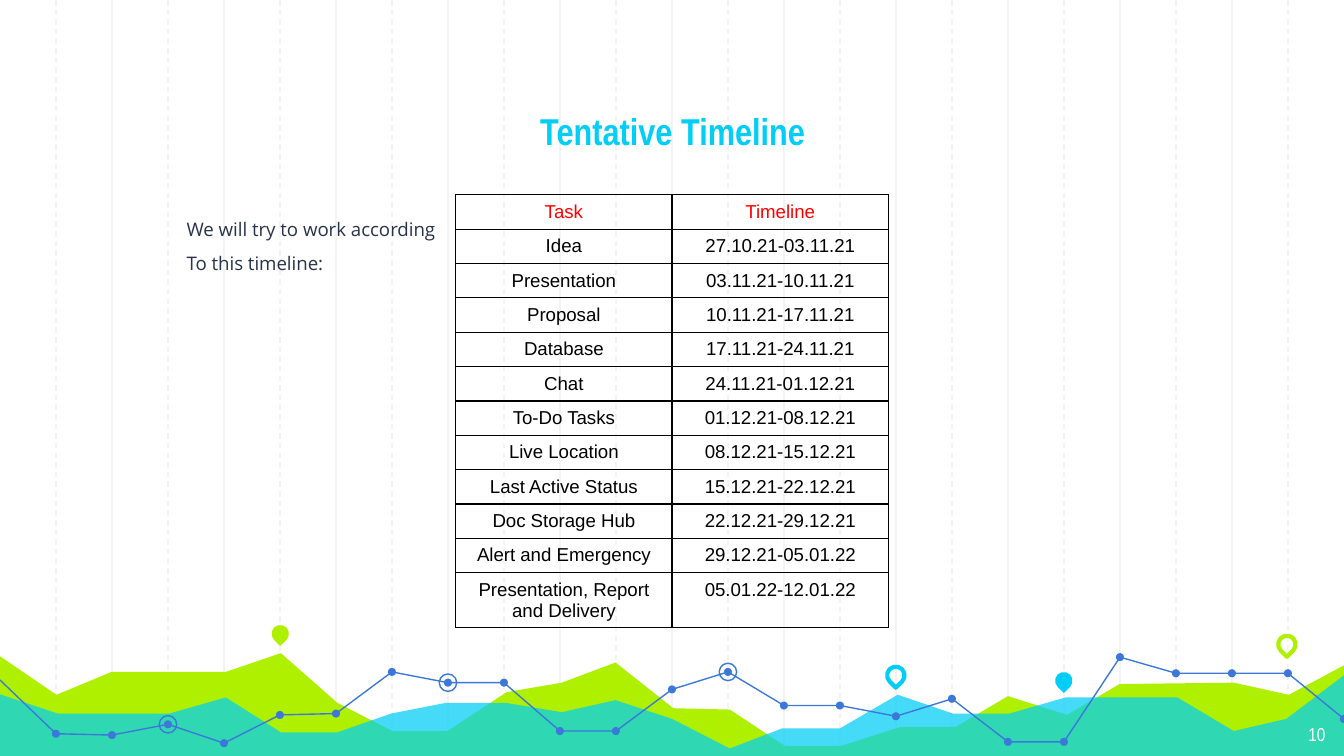
from dataclasses import dataclass

from lxml.etree import SubElement
from pptx import Presentation
from pptx.dml.color import RGBColor
from pptx.enum.dml import MSO_LINE
from pptx.enum.shapes import MSO_CONNECTOR, MSO_SHAPE
from pptx.enum.text import MSO_ANCHOR, MSO_AUTO_SIZE, PP_ALIGN
from pptx.oxml import parse_xml
from pptx.oxml.ns import nsdecls, qn
from pptx.util import Inches, Pt

LIME, CYAN, BLUE = "AFF000", "00CEF6", "3C78D8"
NAVY, GRID, BLACK, RED, WHITE = "28324A", "F3F3F3", "000000", "FF0000", "FFFFFF"
WIDTH = 10
HEIGHT = WIDTH * 9 / 16
STEP = WIDTH / 24
DOT, MARKER = 0.06, 0.13


@dataclass
class Area:
    color: str
    points: list[tuple[float, float]]
    opacity: int = 100


@dataclass
class Pin:
    left: float
    top: float
    color: str
    hollow: bool = False


AREAS = [
    Area(LIME, [
        (-0.02, 4.87), (0.42, 5.17), (0.83, 5), (1.68, 5), (2.09, 4.86), (2.51, 5.23),
        (2.92, 5.44), (3.33, 5.44), (3.77, 5.15), (4.18, 5.08), (4.58, 4.93), (5.01, 5.27),
        (5.43, 5.28), (5.84, 5.55), (6.26, 5.55), (6.7, 5.41), (7.11, 5.41), (7.5, 5.18),
        (7.94, 5.32), (8.33, 5.09), (9.18, 5.08), (9.59, 5.17), (10.02, 4.94),
        (10.01, 5.64), (-0.03, 5.64)]),
    Area(CYAN, [
        (-0.02, 5.16), (0.43, 5.31), (1.26, 5.31), (1.68, 5.19), (2.09, 5.45), (2.51, 5.45),
        (2.91, 5.31), (3.32, 5.23), (3.76, 5.23), (4.18, 5.3), (4.58, 5.21), (5, 5.35),
        (5.43, 5.57), (5.82, 5.42), (6.25, 5.42), (6.68, 5.17), (7.09, 5.31), (7.51, 5.31),
        (7.93, 5.19), (8.76, 5.19), (9.18, 5.44), (9.57, 5.35), (10.02, 5.01),
        (10.02, 5.65), (-0.03, 5.65)], opacity=73),
]
PINS = [Pin(2.02, 4.65, LIME), Pin(6.6, 4.96, CYAN, hollow=True),
        Pin(7.85, 5, CYAN), Pin(9.51, 4.73, LIME, hollow=True)]
# Heights of the line at each grid step, starting at the left edge
LINE_HEIGHTS = [5.06, 5.46, 5.47, 5.39, 5.53, 5.32, 5.31, 5, 5.08, 5.08, 5.44, 5.44, 5.13,
                5, 5.25, 5.25, 5.33, 5.2, 5.52, 5.52, 4.89, 5.01, 5.01, 5.01, 5.35]
LINE_POINTS = [(i * STEP, y) for i, y in enumerate(LINE_HEIGHTS)]
LINE_BREAKS = [0, 11, 20, 24]
RINGED = [3, 8, 13]

SCHEDULE = [
    ("Task", "Timeline"),
    ("Idea", "27.10.21-03.11.21"),
    ("Presentation", "03.11.21-10.11.21"),
    ("Proposal", "10.11.21-17.11.21"),
    ("Database", "17.11.21-24.11.21"),
    ("Chat", "24.11.21-01.12.21"),
    ("To-Do Tasks", "01.12.21-08.12.21"),
    ("Live Location", "08.12.21-15.12.21"),
    ("Last Active Status", "15.12.21-22.12.21"),
    ("Doc Storage Hub", "22.12.21-29.12.21"),
    ("Alert and Emergency", "29.12.21-05.01.22"),
    ("Presentation, Report and Delivery", "05.01.22-12.01.22"),
]


def rgb(color: str) -> RGBColor:
    return RGBColor.from_string(color)


def paint(shape, fill: str | None = None, line: str | None = None, weight: float = 0.75) -> None:
    shape.shadow.inherit = False
    if fill:
        shape.fill.solid()
        shape.fill.fore_color.rgb = rgb(fill)
    else:
        shape.fill.background()
    if line:
        shape.line.color.rgb = rgb(line)
        shape.line.width = Pt(weight)
    else:
        shape.line.fill.background()


def draw_grid_line(page, step: int) -> None:
    x = Inches(step * STEP)
    line = page.shapes.add_connector(MSO_CONNECTOR.STRAIGHT, x, 0, x, Inches(5.65))
    line.line.color.rgb = rgb(GRID)
    line.line.width = Pt(0.75)
    if step % 2:
        line.line.dash_style = MSO_LINE.DASH
    SubElement(line.element.spPr, qn("a:effectLst"))


def draw_path(page, points: list[tuple[float, float]], close: bool):
    start, *rest = [(Inches(x), Inches(y)) for x, y in points]
    builder = page.shapes.build_freeform(*start)
    builder.add_line_segments(rest, close=close)
    return builder.convert_to_shape()


def draw_area(page, area: Area) -> None:
    shape = draw_path(page, area.points, close=True)
    paint(shape, fill=area.color)
    if area.opacity < 100:
        color = shape.element.spPr.find(qn("a:solidFill"))[0]
        SubElement(color, qn("a:alpha"), val=str(area.opacity * 1000))


def draw_pin(page, pin: Pin) -> None:
    shape = page.shapes.add_shape(MSO_SHAPE.TEAR, Inches(pin.left), Inches(pin.top),
                                  Inches(MARKER), Inches(MARKER))
    shape.rotation = 135
    if pin.hollow:
        paint(shape, line=pin.color, weight=2.25)
    else:
        paint(shape, fill=pin.color)


def draw_circle(page, center: tuple[float, float], size: float, **colors: str) -> None:
    x, y = center
    shape = page.shapes.add_shape(MSO_SHAPE.OVAL, Inches(x - size / 2), Inches(y - size / 2),
                                  Inches(size), Inches(size))
    paint(shape, **colors)


def place(box, left: float, top: float, width: float, height: float) -> None:
    box.left, box.top = Inches(left), Inches(top)
    box.width, box.height = Inches(width), Inches(height)


def write(frame, text: str, *, font: str, color: str, size: float = 10, bold: bool = False,
          align=PP_ALIGN.LEFT) -> None:
    """Write one paragraph per line of text."""
    frame.text = text
    for para in frame.paragraphs:
        para.alignment = align
        for span in para.runs:
            span.font.name, span.font.size, span.font.bold = font, Pt(size), bold
            span.font.color.rgb = rgb(color)


def format_frame(frame, anchor=MSO_ANCHOR.TOP) -> None:
    frame.word_wrap = True
    frame.auto_size = MSO_AUTO_SIZE.NONE
    frame.vertical_anchor = anchor
    frame.margin_left = frame.margin_right = Inches(0.1)
    frame.margin_top = frame.margin_bottom = Inches(0.1)


def add_text(page, bounds: tuple[float, float, float, float], text: str, **style):
    box = page.shapes.add_textbox(*map(Inches, bounds))
    format_frame(box.text_frame)
    write(box.text_frame, text, **style)
    return box.text_frame


def border_cell(cell) -> None:
    properties = cell._tc.get_or_add_tcPr()
    for index, side in enumerate(("lnL", "lnR", "lnT", "lnB")):
        properties.insert(index, parse_xml(
            f'<a:{side} {nsdecls("a")} w="{Pt(0.75)}"><a:solidFill>'
            f'<a:srgbClr val="{BLACK}"/></a:solidFill></a:{side}>'))


def draw_schedule(page) -> None:
    frame = page.shapes.add_table(len(SCHEDULE), 2, Inches(3.39), Inches(1.45),
                                  Inches(3.22), Inches(0.19 * len(SCHEDULE)))
    table = frame.table
    table.first_row = table.horz_banding = False
    for row, texts in enumerate(SCHEDULE):
        for column, text in enumerate(texts):
            cell = table.cell(row, column)
            cell.fill.background()
            border_cell(cell)
            write(cell.text_frame, text, font="Arial", color=BLACK if row else RED,
                  align=PP_ALIGN.CENTER)


def main() -> None:
    deck = Presentation()
    deck.slide_width, deck.slide_height = Inches(WIDTH), Inches(HEIGHT)
    page = deck.slides.add_slide(deck.slide_layouts[5])

    for step in range(1, 24):
        draw_grid_line(page, step)
    for area in AREAS:
        draw_area(page, area)
    for pin in PINS:
        draw_pin(page, pin)
    for first, last in zip(LINE_BREAKS, LINE_BREAKS[1:]):
        paint(draw_path(page, LINE_POINTS[first:last + 1], close=False), line=BLUE)
    for point in LINE_POINTS[1:]:
        draw_circle(page, point, DOT, fill=BLUE)
    for index in RINGED:
        draw_circle(page, LINE_POINTS[index], MARKER, line=BLUE)

    title = page.shapes.title
    place(title, 1.18, 0.46, 7.65, 0.78)
    format_frame(title.text_frame, MSO_ANCHOR.BOTTOM)
    write(title.text_frame, "Tentative Timeline", font="Arial Narrow", color=CYAN, size=20,
          bold=True, align=PP_ALIGN.CENTER)
    page.shapes.element.append(title.element)  # in front of the grid

    body = add_text(page, (1.18, 1.52, 7.65, 3.06),
                    "We will try to work according\nTo this timeline:",
                    font="Open Sans", color=NAVY)
    for para in body.paragraphs:
        para.space_before = Pt(6)
        para._p.get_or_add_pPr().set("marL", str(Inches(0.11)))
    add_text(page, (9.36, 5.28, 0.6, 0.35), "10", font="Arial Narrow", color=WHITE,
             align=PP_ALIGN.RIGHT)
    draw_schedule(page)
    deck.save("out.pptx")


if __name__ == "__main__":
    main()
